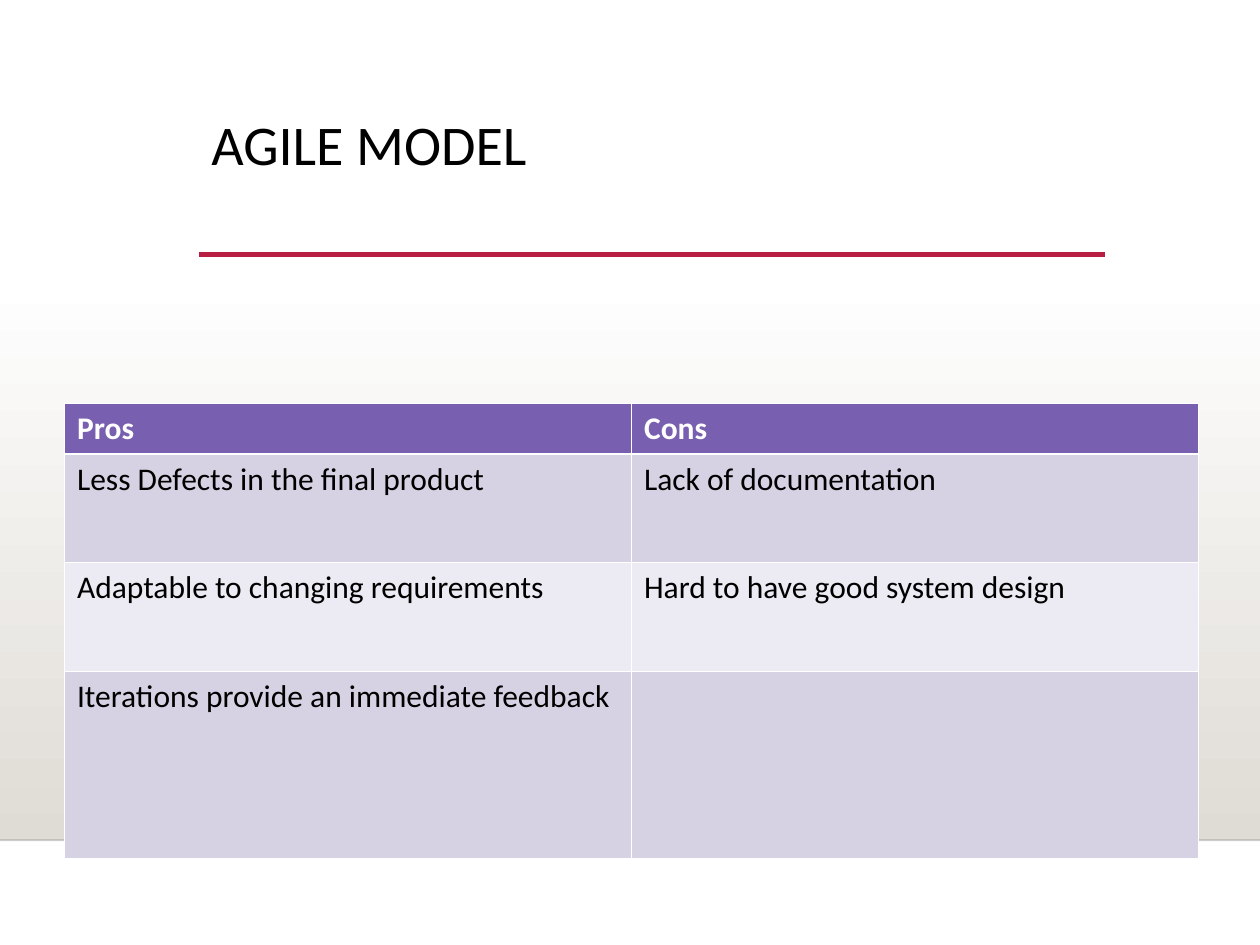
from pptx import Presentation
from pptx.dml.color import RGBColor
from pptx.enum.shapes import MSO_CONNECTOR, MSO_SHAPE
from pptx.enum.text import MSO_ANCHOR
from pptx.oxml.ns import qn
from pptx.util import Cm, Pt
from lxml.etree import SubElement

WHITE = RGBColor(0xFF, 0xFF, 0xFF)
BLACK = RGBColor(0x00, 0x00, 0x00)
SAND = RGBColor(0xDF, 0xDB, 0xD5)
RED = RGBColor(0xB7, 0x1E, 0x42)
PURPLE = RGBColor(0x79, 0x5F, 0xAF)
LILAC = RGBColor(0xD7, 0xD2, 0xE3)
PALE = RGBColor(0xEC, 0xEA, 0xF2)


def add_line(left, right, y, color, width):
    line = slide.shapes.add_connector(
        MSO_CONNECTOR.STRAIGHT, Cm(left), Cm(y), Cm(right), Cm(y))
    line.line.color.rgb = color
    line.line.width = Pt(width)
    SubElement(line._element.spPr, qn("a:effectLst"))
    return line


def add_text(frame, text, size, color, bold=False):
    run = frame.paragraphs[0].add_run()
    run.text = text
    font = run.font
    font.name, font.size, font.bold = "Calibri", Pt(size), bold
    font.color.rgb = color


deck = Presentation()
deck.slide_width, deck.slide_height = Cm(25.4), Cm(19.05)
slide = deck.slides.add_slide(deck.slide_layouts[6])

# Shaded floor, white fading down to sand
floor = slide.shapes.add_shape(
    MSO_SHAPE.RECTANGLE, Cm(0), Cm(5.59), Cm(25.4), Cm(11.34))
floor.shadow.inherit = False
floor.line.fill.background()
floor.fill.gradient()
floor.fill.gradient_angle = 270
for stop, color in zip(floor.fill.gradient_stops, (WHITE, SAND)):
    stop.color.rgb = color

# Faint floor edge and red title rule
edge = add_line(0, 25.4, 16.94, BLACK, 1)
tint = edge.line._ln.find(".//" + qn("a:srgbClr"))
SubElement(tint, qn("a:alpha"), val="20000")
add_line(4.01, 22.28, 5.13, RED, 2.5)

# Title
title = slide.shapes.add_textbox(Cm(4.01), Cm(2.24), Cm(18.26), Cm(2.92))
frame = title.text_frame
frame.word_wrap = True
frame.vertical_anchor = MSO_ANCHOR.TOP
frame.paragraphs[0].line_spacing = 0.9
add_text(frame, "AGILE MODEL", 32, BLACK)

# Table of pros and cons
rows = [
    ("Pros", "Cons"),
    ("Less Defects in the final product", "Lack of documentation"),
    ("Adaptable to changing requirements", "Hard to have good system design"),
    ("Iterations provide an immediate feedback", ""),
]
heights = [1.02, 2.19, 2.19, 3.78]
fills = [PURPLE, LILAC, PALE, LILAC]
table = slide.shapes.add_table(
    len(rows), 2, Cm(1.3), Cm(8.13), Cm(22.86), Cm(sum(heights))).table
for col in table.columns:
    col.width = Cm(11.43)

for r, texts in enumerate(rows):
    table.rows[r].height = Cm(heights[r])
    head = r == 0
    for c, text in enumerate(texts):
        cell = table.cell(r, c)
        if text:
            add_text(cell.text_frame, text, 18, WHITE if head else BLACK, head)

        # White borders, thicker under the header; they precede the fill
        props = cell._tc.get_or_add_tcPr()
        for side in ("lnL", "lnR", "lnT", "lnB"):
            thick = (r, side) in ((0, "lnB"), (1, "lnT"))
            ln = SubElement(props, qn("a:" + side),
                            w=str(Pt(1.47 if thick else 0.45)))
            fill = SubElement(ln, qn("a:solidFill"))
            SubElement(fill, qn("a:srgbClr"), val=str(WHITE))
        cell.fill.solid()
        cell.fill.fore_color.rgb = fills[r]

deck.save("out.pptx")
